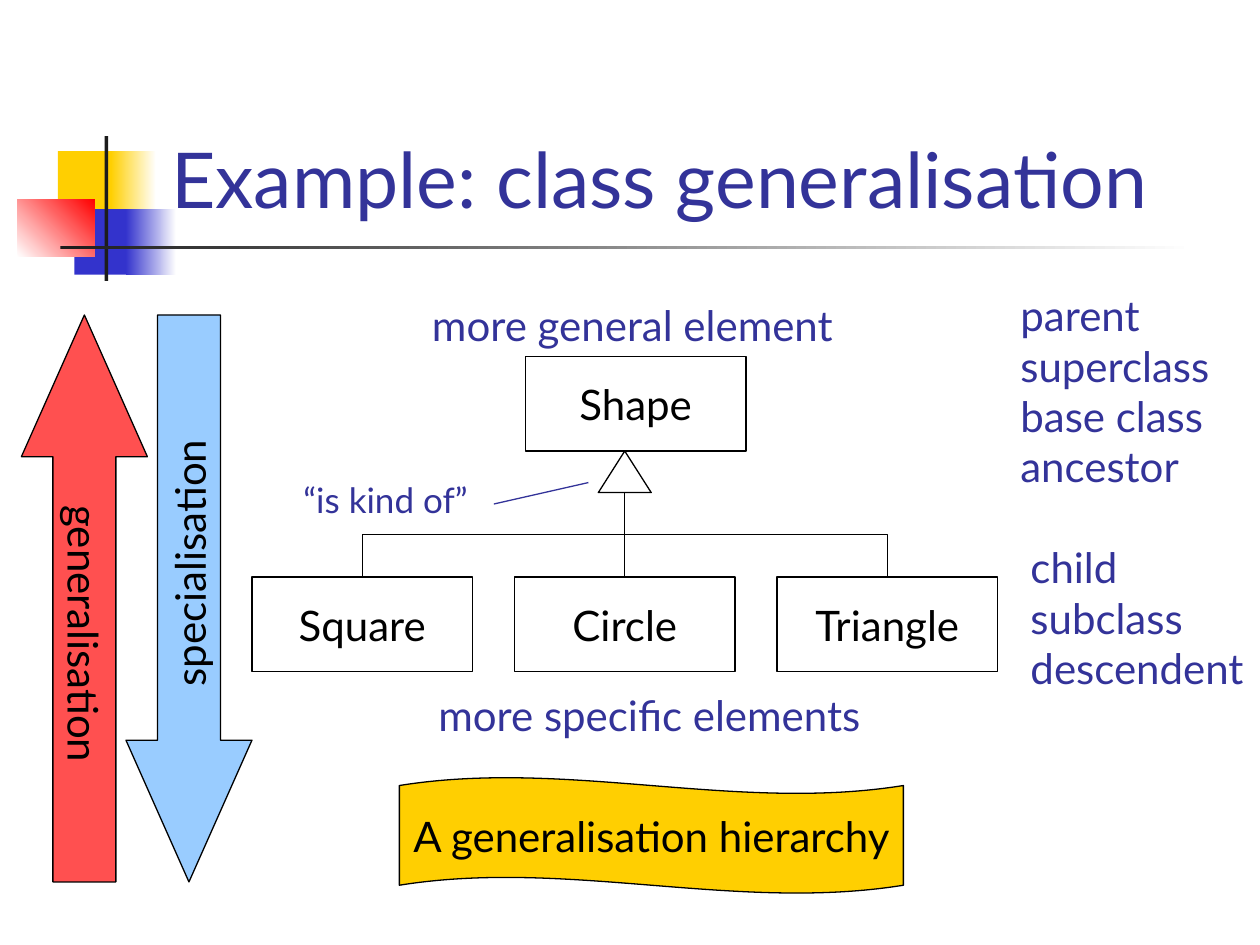
from lxml import etree
from pptx import Presentation, util as u
from pptx.dml.color import RGBColor
from pptx.enum import shapes, text
from pptx.oxml.ns import qn

# Theme
THEME = {
    "font": "Lato", "title": 44, "body": 24, "note": 20, "line": 0.75,
    "navy": "333399", "black": "000000", "white": "FFFFFF", "ink": "1C1C1C",
    "gold": "FFCF01", "blue": "3333CC", "red": "FF0000",
    "coral": "FF5050", "sky": "99CCFF",
}

# Content: boxes are (left, top, width, height) in inches
TITLE = ("Example: class generalisation", (1.26, 0.23, 8.52, 1.6))
DECORATION = [  # box, colours, gradient angle
    ((0.46, 1.2, 0.48, 0.52), ["gold"], 0),
    ((0.88, 1.2, 0.36, 0.52), ["gold", "white"], 0),
    ((0.59, 1.66, 0.46, 0.52), ["blue"], 0),
    ((1, 1.66, 0.4, 0.52), ["blue", "white"], 0),
    ((0.14, 1.58, 0.61, 0.46), ["white", "red"], 45),
    ((0.83, 1.08, 0.03, 1.15), ["ink"], 0),
    ((0.48, 1.95, 9, 0.03), ["ink", "white"], 0),
]
PARENT = "Shape"
CHILDREN = ["Square", "Circle", "Triangle"]
LABELS = [  # lines, box, size, wraps
    (["more general element"], (3.33, 2.33, 3.98, 0.5), "body", True),
    (["more specific elements"], (3.38, 5.42, 3.82, 0.5), "body", False),
    (["parent", "superclass", "base class", "ancestor"],
     (8, 2.25, 1.75, 2.5), "body", True),
    (["child", "subclass", "descendent"], (8.08, 4.25, 1.92, 1.7), "body", True),
    (["“is kind of”"], (2.31, 3.75, 1.75, 0.44), "note", False),
]
ARROWS = [  # text, preset, left, fill, text direction
    ("generalisation", shapes.MSO_SHAPE.UP_ARROW, 0.17, "coral", "vert"),
    ("specialisation", shapes.MSO_SHAPE.DOWN_ARROW, 1, "sky", "vert270"),
]
BANNER = ("A generalisation hierarchy", (3.17, 6.17, 4, 0.92))

# Hierarchy layout
CLASS_WIDTH, CLASS_HEIGHT = 1.75, 0.75
PARENT_LEFT, PARENT_TOP = 4.17, 2.83
CHILD_LEFT, CHILD_TOP, CHILD_STEP = 2, 4.58, 25 / 12
TRIANGLE_WIDTH, TRIANGLE_HEIGHT = 0.42, 0.33
TRIANGLE_TOP = PARENT_TOP + CLASS_HEIGHT
CENTRE = CHILD_LEFT + CHILD_STEP + CLASS_WIDTH / 2
TRIANGLE_BASE = 3  # connection site in the middle of the triangle's base

presentation = Presentation()
presentation.slide_width, presentation.slide_height = u.Inches(10), u.Inches(7.5)
slide = presentation.slides.add_slide(presentation.slide_layouts[6])


def colour(name):
    return RGBColor.from_string(THEME[name])


def inches(values):
    return [u.Inches(value) for value in values]


def write(shape, words, size="body", ink="navy", wrap=True,
          anchor=text.MSO_ANCHOR.TOP, align=text.PP_ALIGN.LEFT):
    frame = shape.text_frame
    frame.text = words
    frame.word_wrap = wrap
    frame.vertical_anchor = anchor
    for paragraph in frame.paragraphs:
        paragraph.alignment = align
        for run in paragraph.runs:
            run.font.name = THEME["font"]
            run.font.size = u.Pt(THEME[size])
            run.font.color.rgb = colour(ink)


def add_shape(preset, box, fills=(), angle=0, outlined=True, words=None):
    shape = slide.shapes.add_shape(preset, *inches(box))
    shape.shadow.inherit = False
    if len(fills) == 2:
        shape.fill.gradient()
        shape.fill.gradient_angle = angle
        for stop, name in zip(shape.fill.gradient_stops, fills):
            stop.color.rgb = colour(name)
    elif fills:
        shape.fill.solid()
        shape.fill.fore_color.rgb = colour(fills[0])
    else:
        shape.fill.background()
    if outlined:
        shape.line.color.rgb = colour("black")
        shape.line.width = u.Pt(THEME["line"])
    else:
        shape.line.fill.background()
    if words:
        write(shape, words, ink="black", wrap=False,
              anchor=text.MSO_ANCHOR.MIDDLE, align=text.PP_ALIGN.CENTER)
    return shape


def add_line(kind, start, end, ink="black"):
    connector = slide.shapes.add_connector(kind, *inches(start + end))
    connector.line.color.rgb = colour(ink)
    connector.line.width = u.Pt(THEME["line"])
    etree.SubElement(connector._element.spPr, qn("a:effectLst"))
    return connector


def add_class(name, left, top):
    box = (left, top, CLASS_WIDTH, CLASS_HEIGHT)
    return add_shape(shapes.MSO_SHAPE.RECTANGLE, box, words=name)


def join_child(child, child_x, triangle):
    """Run a line up from a child class to the base of the triangle."""
    base = TRIANGLE_TOP + TRIANGLE_HEIGHT
    offset, rise = CENTRE - child_x, CHILD_TOP - base
    straight = abs(offset) < 0.01
    kind = shapes.MSO_CONNECTOR.STRAIGHT if straight else shapes.MSO_CONNECTOR.ELBOW
    connector = add_line(kind, (child_x, CHILD_TOP), (CENTRE, base))
    connector.begin_connect(child, 0)
    if straight:
        return
    connector.end_connect(triangle, TRIANGLE_BASE)
    # Turn the elbow so that it leaves the child upwards
    span = abs(offset)
    connector.left = u.Inches((child_x + CENTRE - rise) / 2)
    connector.top = u.Inches((CHILD_TOP + base - span) / 2)
    connector.width, connector.height = inches((rise, span))
    transform = connector._element.spPr.find(qn("a:xfrm"))
    transform.set("rot", "5400000" if offset > 0 else "16200000")
    transform.set("flipH", "1" if offset > 0 else "0")
    transform.set("flipV", "1")


# Title and its decoration
for box, fills, angle in DECORATION:
    add_shape(shapes.MSO_SHAPE.RECTANGLE, box, fills, angle, outlined=False)
words, box = TITLE
write(slide.shapes.add_textbox(*inches(box)), words, "title",
      anchor=text.MSO_ANCHOR.BOTTOM)

# Class hierarchy
add_class(PARENT, PARENT_LEFT, PARENT_TOP)
triangle = add_shape(
    shapes.MSO_SHAPE.ISOSCELES_TRIANGLE,
    (CENTRE - TRIANGLE_WIDTH / 2, TRIANGLE_TOP, TRIANGLE_WIDTH, TRIANGLE_HEIGHT),
    ["white"])
for index, name in enumerate(CHILDREN):
    left = CHILD_LEFT + index * CHILD_STEP
    child = add_class(name, left, CHILD_TOP)
    join_child(child, left + CLASS_WIDTH / 2, triangle)

# Labels and the pointer to the triangle
for lines, box, size, wrap in LABELS:
    write(slide.shapes.add_textbox(*inches(box)), "\n".join(lines), size, wrap=wrap)
add_line(shapes.MSO_CONNECTOR.STRAIGHT, (3.92, 4), (4.67, 3.83), "navy")

# Direction arrows
for words, preset, left, fill, direction in ARROWS:
    arrow = add_shape(preset, (left, 2.5, 1, 4.5), [fill], words=words)
    arrow.adjustments[0], arrow.adjustments[1] = 0.5, 1.125
    frame = arrow.text_frame
    frame.margin_left = frame.margin_right = u.Inches(0.05)
    frame.margin_top = frame.margin_bottom = u.Inches(0.1)
    frame._txBody.bodyPr.set("vert", direction)

# Banner
words, box = BANNER
banner = add_shape(shapes.MSO_SHAPE.WAVE, box, ["gold"], words=words)
banner.adjustments[0] = 0.07

presentation.save("out.pptx")
